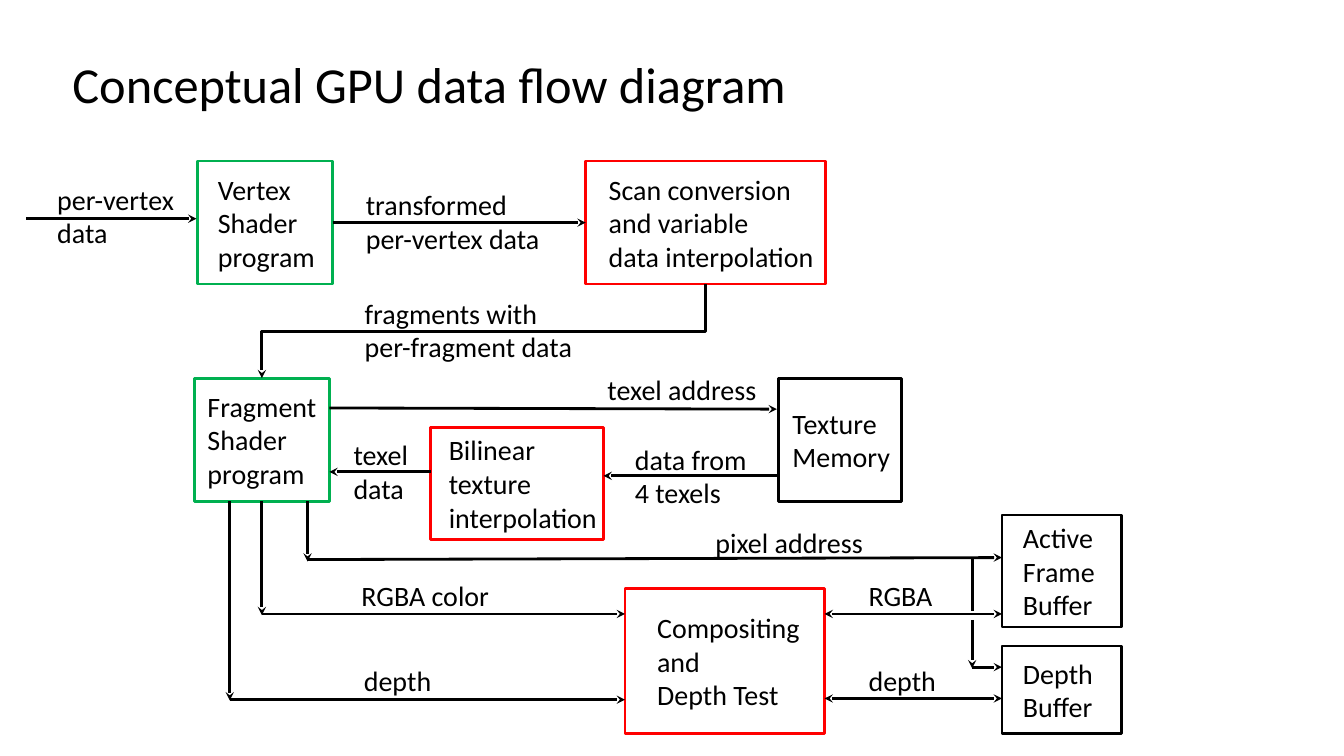
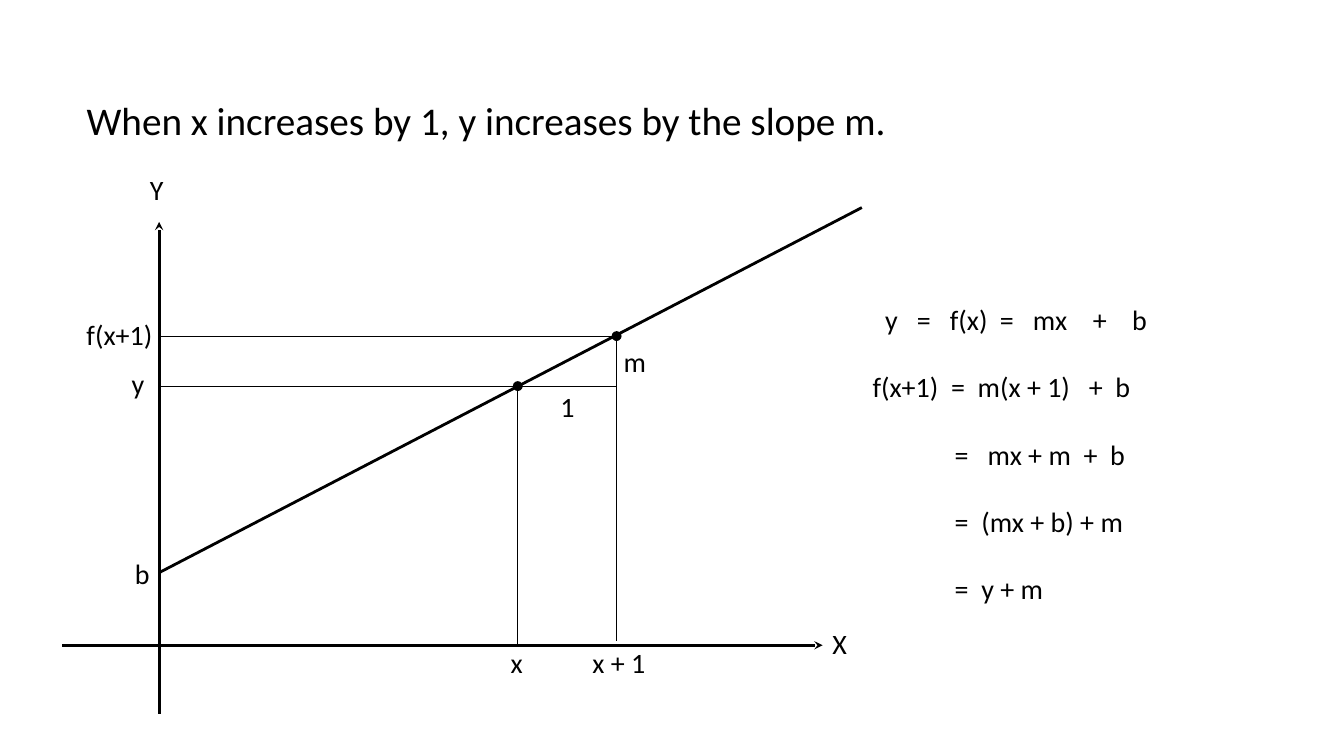
"""Build two slides: a GPU data flow diagram and a plot of a line's slope."""
from lxml.etree import SubElement
from pptx import Presentation
from pptx.dml.color import RGBColor
from pptx.enum.shapes import MSO_CONNECTOR, MSO_SHAPE
from pptx.enum.text import MSO_ANCHOR, MSO_AUTO_SIZE, PP_ALIGN
from pptx.oxml.ns import qn
from pptx.util import Cm, Pt

BLACK, GREEN, RED = "000000", "00B050", "FF0000"
FONT = "Calibri"
SIZE = 20
THICK, THIN = 2, 0.5
FRAME = {
    "word_wrap": True,
    "auto_size": MSO_AUTO_SIZE.NONE,
    "vertical_anchor": MSO_ANCHOR.TOP,
}

BOXES = {
    "vertex": ("Vertex\nShader\nprogram", GREEN, 4.98, 4.06, 3.4, 3.1, 0.51),
    "scan": ("Scan conversion\nand variable\ndata interpolation", RED,
             14.76, 4.06, 6.05, 3.1, 0.58),
    "fragment": ("Fragment\nShader\nprogram", GREEN, 4.9, 9.53, 3.4, 3.1, 0.33),
    "filter": ("Bilinear\ntexture\ninterpolation", RED,
               10.85, 10.77, 4.37, 2.82, 0.46),
    "texture": ("Texture\nMemory", BLACK, 19.61, 9.53, 3.12, 3.1, 0.36),
    "test": ("Compositing\nand\nDepth Test", RED, 15.75, 14.83, 5.03, 3.66, 0.81),
    "frame": ("Active\nFrame\nBuffer", BLACK, 25.25, 12.98, 3.02, 2.82, 0.53),
    "depth": ("Depth\nBuffer", BLACK, 25.25, 16.28, 3.02, 2.21, 0.53),
}
FLOWS = [
    ((0.66, 5.51), (4.95, 5.51), "tail"),
    (("vertex", 3), ("scan", 1), "tail"),
    ((8.3, 10.28), (19.58, 10.31), "tail"),
    ((19.63, 11.99), (15.21, 11.99), "tail"),
    ((10.85, 11.89), (8.3, 11.89), "tail"),
    ((7.75, 12.63), (7.75, 14.15), "tail"),
    ((7.75, 14.1), (25.25, 14.05), "tail"),
    (("fragment", 2), (6.6, 15.5), "tail"),
    ((6.6, 15.47), (15.75, 15.47), "tail"),
    ((5.79, 12.63), (5.79, 17.65), "tail"),
    ((5.79, 17.63), (15.75, 17.63), "tail"),
    ((20.78, 15.47), (25.25, 15.47), "head tail"),
    ((20.78, 17.6), (25.25, 17.6), "head tail"),
    ((24.5, 14.07), (24.5, 15.4), ""),
    ((24.5, 15.62), (24.5, 16.84), "tail"),
    ((24.5, 16.81), (25.25, 16.81), "tail"),
]
DATA = [
    ("per-vertex\ndata", 1.19, 4.47, 3.51),
    ("transformed\nper-vertex data", 8.97, 4.6, 4.98),
    ("fragments with\nper-fragment data", 8.94, 7.34, 6.45),
    ("texel address", 15.06, 9.27, 4.6),
    ("texel\ndata", 8.66, 10.9, 3.43),
    ("data from\n4 texels", 15.75, 11.02, 3.43),
    ("pixel address", 17.78, 13.11, 6.45),
    ("RGBA color", 8.86, 14.45, 4.6),
    ("RGBA", 21.64, 14.45, 4.6),
    ("depth", 8.92, 16.59, 4.6),
    ("depth", 21.64, 16.59, 4.6),
]

AXIS, BASE = 4.01, 16.26
NEAR, FAR = (13.05, 9.73), (15.54, 8.47)
DOT = 0.25
PLOT = [
    ((AXIS, 17.98), (AXIS, 5.59), THICK, "tail"),
    ((1.57, BASE), (20.73, BASE), THICK, "tail"),
    ((AXIS, 14.43), (21.72, 5.23), THICK, ""),
    (NEAR, (NEAR[0], BASE), THIN, ""),
    ((FAR[0], NEAR[1]), (AXIS, NEAR[1]), THIN, ""),
    (FAR, (FAR[0], 16.15), THIN, ""),
    (FAR, (AXIS, FAR[1]), THIN, ""),
]
MARKS = [
    ("Y", 3.53, 4.22, 1.7),
    ("X", 20.73, 15.67, 1.7),
    ("f(x+1)", 1.93, 7.87, 2.67),
    ("y", 3.07, 9.12, 1.7),
    ("b", 3.15, 13.89, 1.85),
    ("m", 15.47, 8.56, 2.31),
    ("1", 13.87, 9.68, 2.31),
    ("x", 12.62, 16.13, 1.5),
    ("x + 1", 14.68, 16.13, 2.31),
]
STEPS = [
    ("\ty\t=\tf(x)\t=\tmx\t+\tb", (0.32, 1.12, 1.95, 3.21, 4.04, 5.55, 6.54)),
    ("f(x+1)\t=\tm(x + 1)\t+\tb", (1.98, 2.65, 5.45, 6.12)),
    ("\t=\tmx + m\t+\tb", (2.07, 2.9, 5.32, 5.99)),
    ("\t=\t(mx + b) + m", (2.07, 2.74)),
    ("\t=\ty + m", (2.07, 2.74)),
]


def rgb(code):
    return RGBColor.from_string(code)


def put(item, vals):
    for name, val in vals.items():
        setattr(item, name, val)


def write(shape, text, size=SIZE, **extra):
    frame = shape.text_frame
    put(frame, {**FRAME, **extra})
    frame.text = text
    for para in frame.paragraphs:
        para.alignment = PP_ALIGN.LEFT
        for run in para.runs:
            put(run.font, {"name": FONT, "size": Pt(size)})
            run.font.color.rgb = rgb(BLACK)
    return frame


def start(deck, text, size, left, top, width, height):
    slide = deck.slides.add_slide(deck.slide_layouts[5])
    title = slide.shapes.title
    put(title, {"left": Cm(left), "top": Cm(top),
                "width": Cm(width), "height": Cm(height)})
    write(title, text, size)
    return slide.shapes


def label(shapes, text, left, top, width):
    lines = text.count("\n") + 1
    box = shapes.add_textbox(Cm(left), Cm(top), Cm(width), Cm(0.27 + 0.85 * lines))
    return write(box, text)


def block(shapes, text, color, left, top, width, height, inset):
    rect = shapes.add_shape(MSO_SHAPE.RECTANGLE, Cm(left), Cm(top),
                            Cm(width), Cm(height))
    rect.shadow.inherit = False
    rect.fill.background()
    rect.line.color.rgb = rgb(color)
    rect.line.width = Pt(THICK)
    write(rect, text, vertical_anchor=MSO_ANCHOR.MIDDLE,
          margin_left=Cm(inset), margin_right=0)
    return rect


def dot(shapes, x, y):
    mark = shapes.add_shape(MSO_SHAPE.OVAL, Cm(x - DOT / 2), Cm(y - DOT / 2),
                            Cm(DOT), Cm(DOT))
    mark.shadow.inherit = False
    mark.fill.solid()
    mark.fill.fore_color.rgb = rgb(BLACK)
    mark.line.fill.background()


def link(shapes, head, tail, width, arrows, rects=None, kind=MSO_CONNECTOR.STRAIGHT):
    ends = [(0, 0) if isinstance(end[0], str) else end for end in (head, tail)]
    line = shapes.add_connector(kind, *(Cm(n) for end in ends for n in end))
    for end, join in ((head, line.begin_connect), (tail, line.end_connect)):
        if isinstance(end[0], str):
            join(rects[end[0]], end[1])
    line.line.color.rgb = rgb(BLACK)
    line.line.width = Pt(width)
    props = line._element.spPr
    for side in arrows.split():
        SubElement(props.find(qn("a:ln")), qn(f"a:{side}End"), type="stealth")
    SubElement(props, qn("a:effectLst"))
    return line


def turn(line):
    """Turn an elbow going down and left so that it leaves downwards."""
    wide, high = line.width, line.height
    mid, row = line.left + wide // 2, line.top + high // 2
    put(line, {"left": mid - high // 2, "top": row - wide // 2,
               "width": high, "height": wide})
    frame = line._element.spPr.find(qn("a:xfrm"))
    frame.attrib.pop("flipH", None)
    frame.set("rot", "5400000")


def solve(shapes):
    frame = label(shapes, "\n".join(text for text, _ in STEPS), 21.74, 7.5, 10.1)
    for row, (para, (_, stops)) in enumerate(zip(frame.paragraphs, STEPS)):
        tabs = SubElement(para._p.get_or_add_pPr(), qn("a:tabLst"))
        for stop in stops:
            SubElement(tabs, qn("a:tab"), pos=str(Cm(stop)), algn="l")
        if row:
            para.space_before = Pt(24)


def main():
    deck = Presentation()
    put(deck, {"slide_width": Cm(33.87), "slide_height": Cm(19.05)})

    flow = start(deck, "Conceptual GPU data flow diagram", 36, 1.57, 1.22, 20, 1.8)
    rects = {name: block(flow, *vals) for name, vals in BOXES.items()}
    for head, tail, arrows in FLOWS:
        link(flow, head, tail, THICK, arrows, rects)
    turn(link(flow, ("scan", 2), ("fragment", 0), THICK, "tail", rects,
              MSO_CONNECTOR.ELBOW))
    for item in DATA:
        label(flow, *item)

    plot = start(deck, "When x increases by 1, y increases by the slope m.",
                 28, 1.93, 2.29, 30.58, 1.45)
    for item in PLOT:
        link(plot, *item)
    for spot in (NEAR, FAR):
        dot(plot, *spot)
    for item in MARKS:
        label(plot, *item)
    solve(plot)

    deck.save("out.pptx")


if __name__ == "__main__":
    main()
